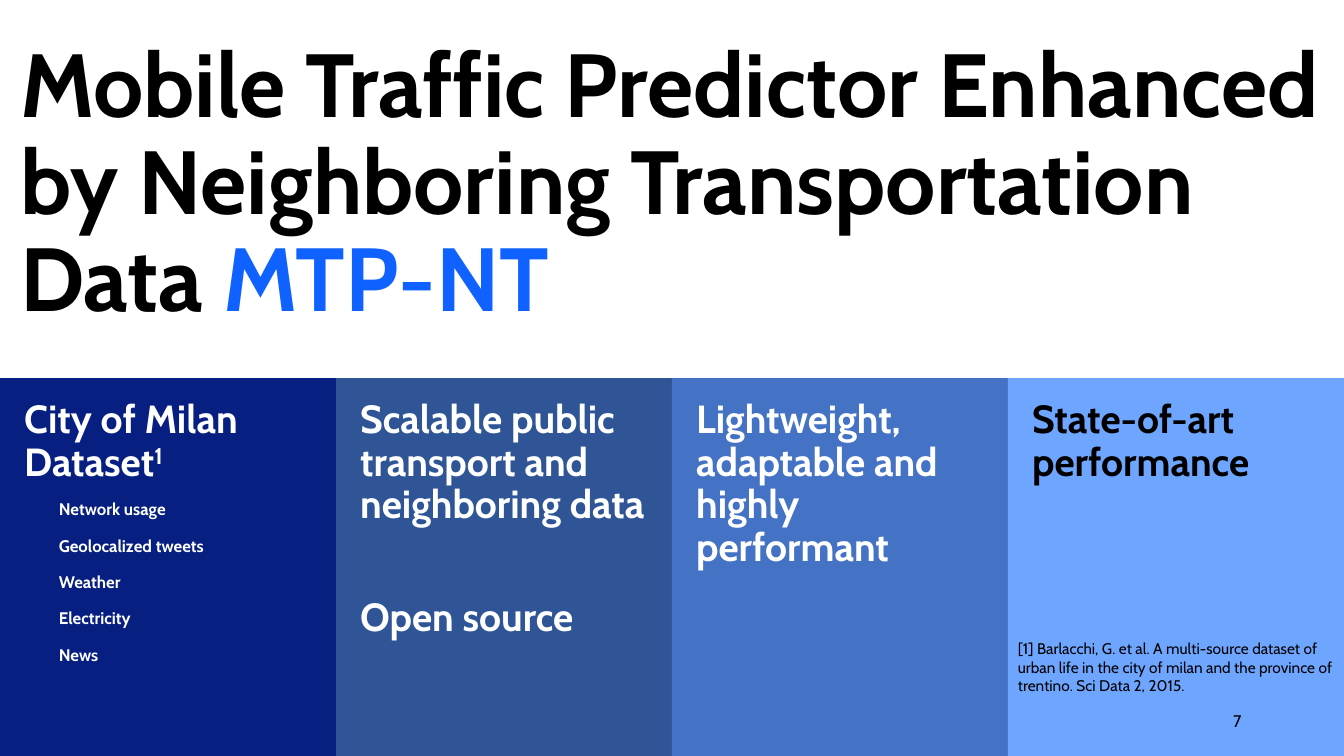
"""Build the MTP-NT summary slide: a large title above four coloured columns."""
import pptx
import pptx.dml.color
import pptx.enum.shapes
import pptx.enum.text
import pptx.util

Pt = pptx.util.Pt
RGBColor = pptx.dml.color.RGBColor
ALIGN = pptx.enum.text.PP_ALIGN
ANCHOR = pptx.enum.text.MSO_ANCHOR

BLACK = RGBColor(0x00, 0x00, 0x00)
WHITE = RGBColor(0xFF, 0xFF, 0xFF)
ACCENT = RGBColor(0x0F, 0x62, 0xFF)
NAVY = RGBColor(0x06, 0x1F, 0x80)
STEEL = RGBColor(0x2F, 0x55, 0x97)
ROYAL = RGBColor(0x44, 0x72, 0xC4)
SKY = RGBColor(0x6E, 0xA6, 0xFF)

COLUMN_WIDTH = 240
HALF_HEIGHT = 270


def set_frame(frame, margins, anchor=ANCHOR.TOP):
    """Set wrapping, anchor and the left, top, right and bottom margins."""
    left, top, right, bottom = map(Pt, margins)
    settings = {"word_wrap": True, "vertical_anchor": anchor,
                "margin_left": left, "margin_top": top,
                "margin_right": right, "margin_bottom": bottom}
    for name, value in settings.items():
        setattr(frame, name, value)


def add_line(frame, text, size, color, bold=True, **layout):
    """Write text into the first empty paragraph or a new one."""
    line = frame.paragraphs[0] if not frame.text else frame.add_paragraph()
    for name, value in layout.items():
        setattr(line, name, value)
    run = line.add_run()
    run.text = text
    run.font.color.rgb = color
    for name, value in {"name": "Cabin", "size": Pt(size), "bold": bold}.items():
        setattr(run.font, name, value)
    return line


deck = pptx.Presentation()
deck.slide_width, deck.slide_height = Pt(4 * COLUMN_WIDTH), Pt(2 * HALF_HEIGHT)
slide = deck.slides.add_slide(deck.slide_layouts[6])

title = slide.shapes.add_textbox(0, 0, deck.slide_width, Pt(HALF_HEIGHT)).text_frame
set_frame(title, (14.4, 13, 18, 18), ANCHOR.MIDDLE)
headline = add_line(
    title, "Mobile Traffic Predictor Enhanced by Neighboring Transportation Data ",
    64, BLACK, line_spacing=0.9)
acronym = headline.add_run()
acronym.text = "MTP-NT"
acronym.font.color.rgb = ACCENT
for name, value in {"name": "Cabin", "size": Pt(64), "bold": True}.items():
    setattr(acronym.font, name, value)

columns = [
    (NAVY, WHITE, ["City of Milan Dataset"], "1"),
    (STEEL, WHITE, ["Scalable public transport and neighboring data", "Open source"], ""),
    (ROYAL, WHITE, ["Lightweight, adaptable and highly performant"], ""),
    (SKY, BLACK, ["State-of-art performance"], ""),
]
for index, (fill, color, claims, reference) in enumerate(columns):
    column = slide.shapes.add_shape(
        pptx.enum.shapes.MSO_SHAPE.RECTANGLE, Pt(index * COLUMN_WIDTH),
        Pt(HALF_HEIGHT), Pt(COLUMN_WIDTH), Pt(HALF_HEIGHT))
    column.shadow.inherit = False
    column.fill.solid()
    column.fill.fore_color.rgb = fill
    column.line.fill.background()
    set_frame(column.text_frame, (17.3, 15.8, 18, 18))
    for position, claim in enumerate(claims):
        line = add_line(column.text_frame, claim, 28, color, alignment=ALIGN.LEFT,
                        line_spacing=0.9, space_before=Pt(50 if position else 10))
    if reference:
        mark = line.add_run()
        mark.text = reference
        mark.font.color.rgb = color
        for name, value in {"name": "Cabin", "size": Pt(28), "bold": True}.items():
            setattr(mark.font, name, value)
        mark.font._element.set("baseline", "30000")

page_number = slide.shapes.add_textbox(Pt(678), Pt(500.5), Pt(216), Pt(28.8)).text_frame
set_frame(page_number, (7.2, 3.6, 7.2, 3.6), ANCHOR.MIDDLE)
add_line(page_number, "7", 12, BLACK, bold=False, alignment=ALIGN.RIGHT)

datasets = slide.shapes.add_textbox(Pt(42), Pt(358), Pt(198), Pt(121)).text_frame
set_frame(datasets, (0, 0, 0, 0))
for position, dataset in enumerate(
        ["Network usage", "Geolocalized tweets", "Weather", "Electricity", "News"]):
    add_line(datasets, dataset, 12, WHITE, line_spacing=0.9,
             space_before=Pt(13 if position else 0))

citation = slide.shapes.add_textbox(
    Pt(3 * COLUMN_WIDTH), Pt(453), Pt(COLUMN_WIDTH), Pt(47.5)).text_frame
set_frame(citation, (7.2, 3.6, 7.2, 3.6))
add_line(citation, "[1] Barlacchi, G. et al. A multi-source dataset of urban life in the "
         "city of milan and the province of trentino. Sci Data 2, 2015.",
         11, BLACK, bold=False)

deck.save("out.pptx")
